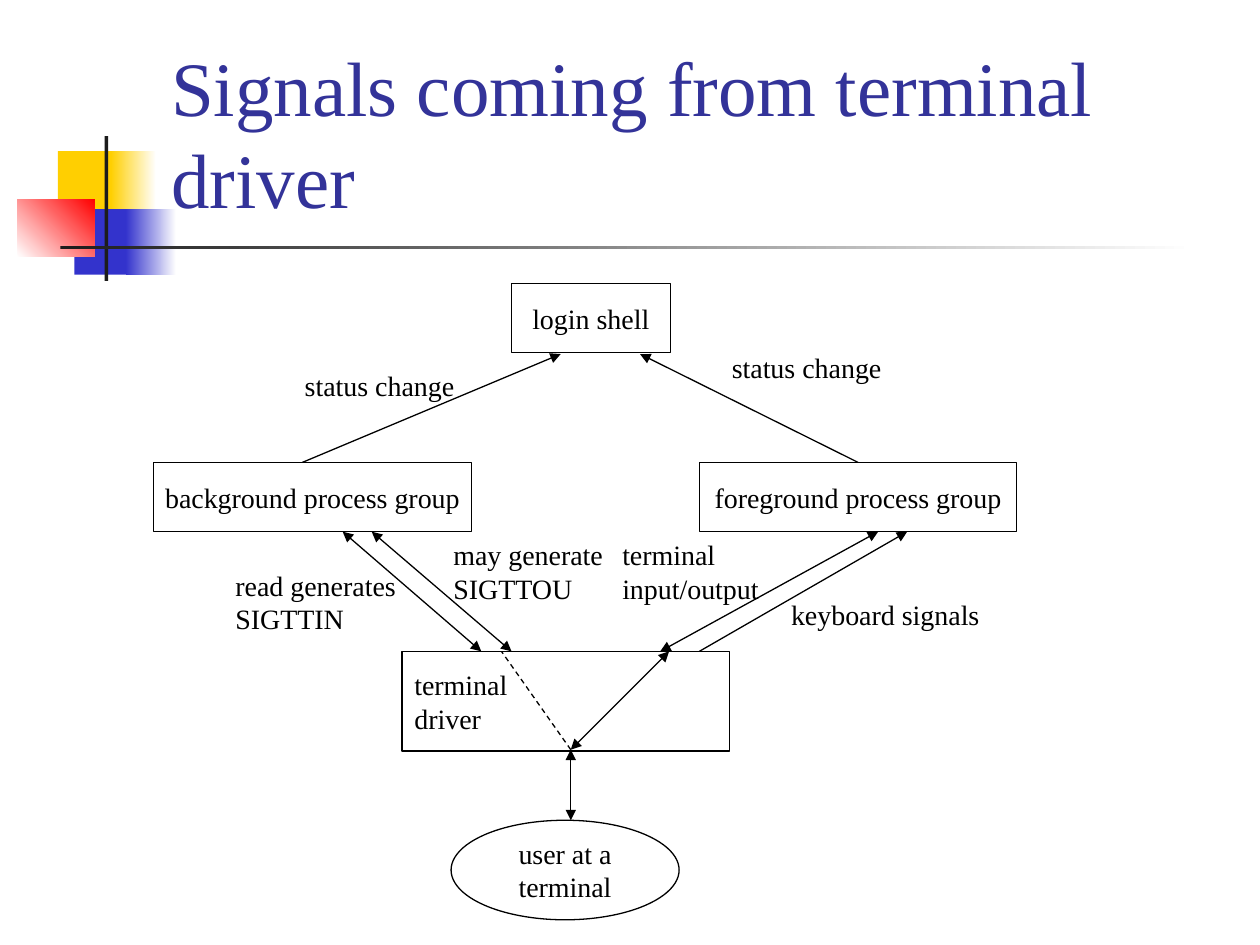
from lxml import etree
from pptx import Presentation
from pptx.dml.color import RGBColor
from pptx.enum.dml import MSO_LINE
from pptx.enum.shapes import MSO_CONNECTOR, MSO_SHAPE
from pptx.enum.text import MSO_ANCHOR, PP_ALIGN
from pptx.oxml.ns import qn
from pptx.util import Inches, Pt

RECTANGLE, OVAL = MSO_SHAPE.RECTANGLE, MSO_SHAPE.OVAL
STRAIGHT, DASH = MSO_CONNECTOR.STRAIGHT, MSO_LINE.DASH
TOP, MIDDLE, BOTTOM = MSO_ANCHOR.TOP, MSO_ANCHOR.MIDDLE, MSO_ANCHOR.BOTTOM
LEFT, CENTER = PP_ALIGN.LEFT, PP_ALIGN.CENTER

FONT = "Times New Roman"
COLORS = {"title": "333399", "ink": "000000", "white": "FFFFFF", "yellow": "FFCF01",
          "blue": "3333CC", "red": "FF0000", "dark": "1C1C1C"}

TITLE = "Signals coming from terminal driver"
TITLE_BOX = (1.26, 0.23, 8.52, 1.6)

# box, fill colours (two make a gradient), counter-clockwise angle
DECORATION = [
    ((0.46, 1.2, 0.48, 0.52), ["yellow"], 0),
    ((0.88, 1.2, 0.36, 0.52), ["yellow", "white"], 0),
    ((0.59, 1.66, 0.46, 0.52), ["blue"], 0),
    ((1.0, 1.66, 0.4, 0.52), ["blue", "white"], 0),
    ((0.14, 1.58, 0.61, 0.46), ["white", "red"], 45),
    ((0.83, 1.08, 0.03, 1.15), ["dark"], 0),
    ((0.48, 1.95, 9.0, 0.03), ["dark", "white"], 0),
]

# preset shape, box, lines of text
NODES = [
    (RECTANGLE, (4.06, 2.25, 1.26, 0.55), ["login shell"]),
    (RECTANGLE, (1.22, 3.67, 2.52, 0.55), ["background process group"]),
    (RECTANGLE, (5.55, 3.67, 2.52, 0.55), ["foreground process group"]),
    (RECTANGLE, (3.19, 5.17, 2.6, 0.79), []),
    (OVAL, (3.58, 6.51, 1.81, 0.79), ["user at a", "terminal"]),
]

# left, top, width, lines of text
LABELS = [
    (3.19, 5.25, 0.95, ["terminal", "driver"]),
    (3.5, 4.22, 1.4, ["may generate", "SIGTTOU"]),
    (1.77, 4.46, 1.48, ["read generates", "SIGTTIN"]),
    (4.84, 4.22, 1.29, ["terminal", "input/output"]),
    (6.18, 4.69, 1.7, ["keyboard signals"]),
    (2.32, 2.88, 1.4, ["status change"]),
    (5.71, 2.73, 1.4, ["status change"]),
]
LABEL_PADDING, LABEL_LINE = 0.1, 0.27

# Heights at which the links meet the nodes
SHELL_BOTTOM, GROUP_TOP, GROUP_BOTTOM = 2.81, 3.67, 4.22
DRIVER_TOP, DRIVER_BOTTOM, USER_TOP = 5.17, 5.95, 6.51

BOTH, END, NONE = ("headEnd", "tailEnd"), ("tailEnd",), ()
LINKS = [
    ((4.06, DRIVER_TOP), (2.95, GROUP_BOTTOM), BOTH),
    ((3.82, DRIVER_TOP), (2.72, GROUP_BOTTOM), BOTH),
    ((6.97, GROUP_BOTTOM), (5.24, DRIVER_TOP), BOTH),
    ((5.55, DRIVER_TOP), (7.2, GROUP_BOTTOM), END),
    ((4.53, USER_TOP), (4.53, DRIVER_BOTTOM), BOTH),
    ((4.53, DRIVER_BOTTOM), (5.31, DRIVER_TOP), BOTH),
    ((4.53, DRIVER_BOTTOM), (3.98, DRIVER_TOP), NONE),
    ((2.4, GROUP_TOP), (4.45, SHELL_BOTTOM), END),
    ((6.81, GROUP_TOP), (5.08, SHELL_BOTTOM), END),
]


def color(name):
    """Return the named colour."""
    return RGBColor.from_string(COLORS[name])


def inches(values):
    """Convert numbers to lengths."""
    return [Inches(value) for value in values]


def write(shape, lines, size=16, ink="ink", anchor=TOP, align=LEFT, wrap=False):
    """Write one paragraph per line into a shape."""
    frame = shape.text_frame
    frame.text = "\n".join(lines)
    frame.word_wrap, frame.vertical_anchor = wrap, anchor
    for paragraph in frame.paragraphs:
        paragraph.alignment = align
        for run in paragraph.runs:
            for name, value in {"name": FONT, "size": Pt(size)}.items():
                setattr(run.font, name, value)
            run.font.color.rgb = color(ink)


def outline(line):
    """Give a line the diagram's stroke."""
    line.color.rgb = color("ink")
    line.width = Pt(0.75)


def add_decoration(slide, box, fills, angle):
    """Add a borderless bar, solid or fading."""
    shape = slide.shapes.add_shape(RECTANGLE, *inches(box))
    shape.shadow.inherit = False
    shape.line.fill.background()
    if len(fills) == 1:
        shape.fill.solid()
        shape.fill.fore_color.rgb = color(fills[0])
        return
    shape.fill.gradient()
    shape.fill.gradient_angle = angle
    for stop, name, position in zip(shape.fill.gradient_stops, fills, (0, 1)):
        stop.color.rgb = color(name)
        stop.position = position


def add_node(slide, preset, box, lines):
    """Add an outlined shape with centred text."""
    shape = slide.shapes.add_shape(preset, *inches(box))
    shape.shadow.inherit = False
    shape.fill.background()
    outline(shape.line)
    if lines:
        write(shape, lines, anchor=MIDDLE, align=CENTER)


def add_label(slide, left, top, width, lines):
    """Add a label whose height follows its line count."""
    height = LABEL_PADDING + LABEL_LINE * len(lines)
    write(slide.shapes.add_textbox(*inches((left, top, width, height))), lines)


def add_link(slide, start, end, arrows):
    """Add a link; one without arrowheads is dashed."""
    link = slide.shapes.add_connector(STRAIGHT, *inches(start + end))
    outline(link.line)
    if not arrows:
        link.line.dash_style = DASH
    line = link.line._get_or_add_ln()
    for arrow in arrows:
        etree.SubElement(line, qn("a:" + arrow), type="triangle")
    etree.SubElement(link._element.spPr, qn("a:effectLst"))


def main():
    """Build and save the slide."""
    presentation = Presentation()
    presentation.slide_width, presentation.slide_height = inches((10, 7.5))
    slide = presentation.slides.add_slide(presentation.slide_layouts[6])
    for item in DECORATION:
        add_decoration(slide, *item)
    title = slide.shapes.add_textbox(*inches(TITLE_BOX))
    write(title, [TITLE], size=44, ink="title", anchor=BOTTOM, wrap=True)
    for add, items in ((add_node, NODES), (add_link, LINKS), (add_label, LABELS)):
        for item in items:
            add(slide, *item)
    presentation.save("out.pptx")


main()
